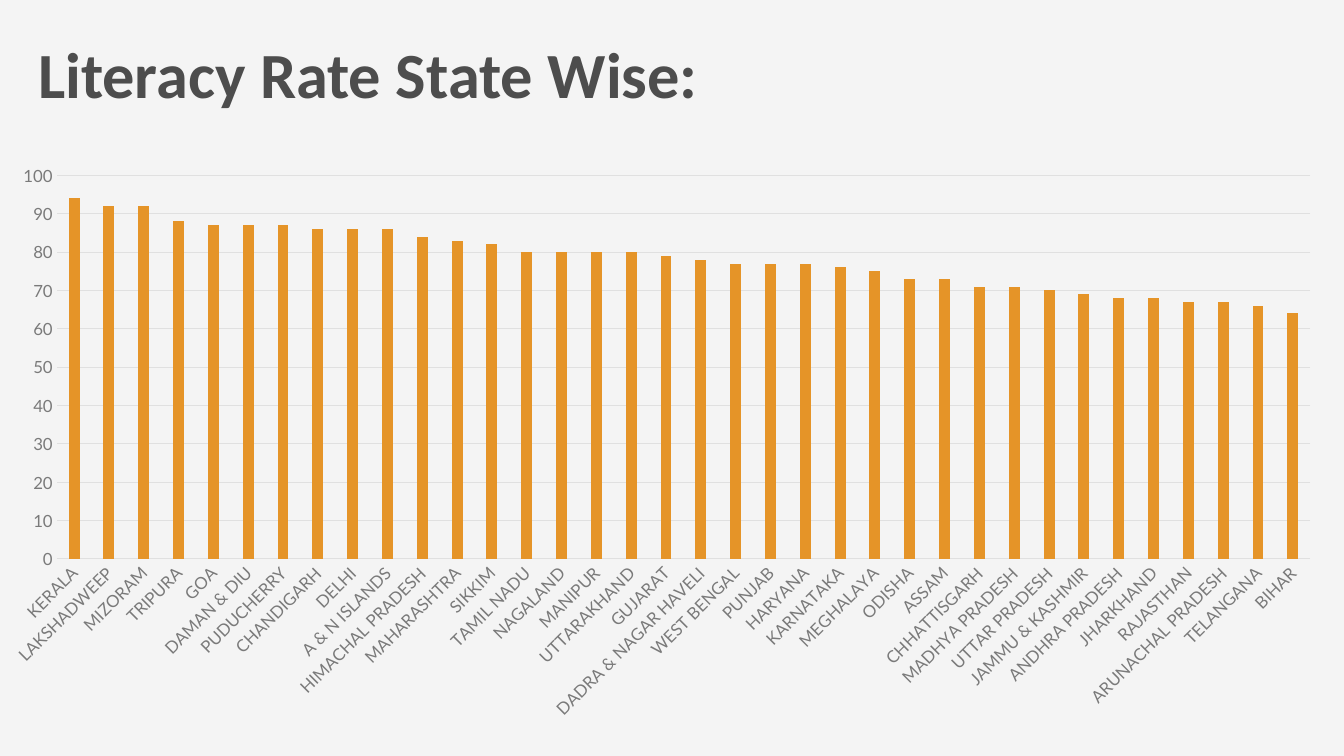
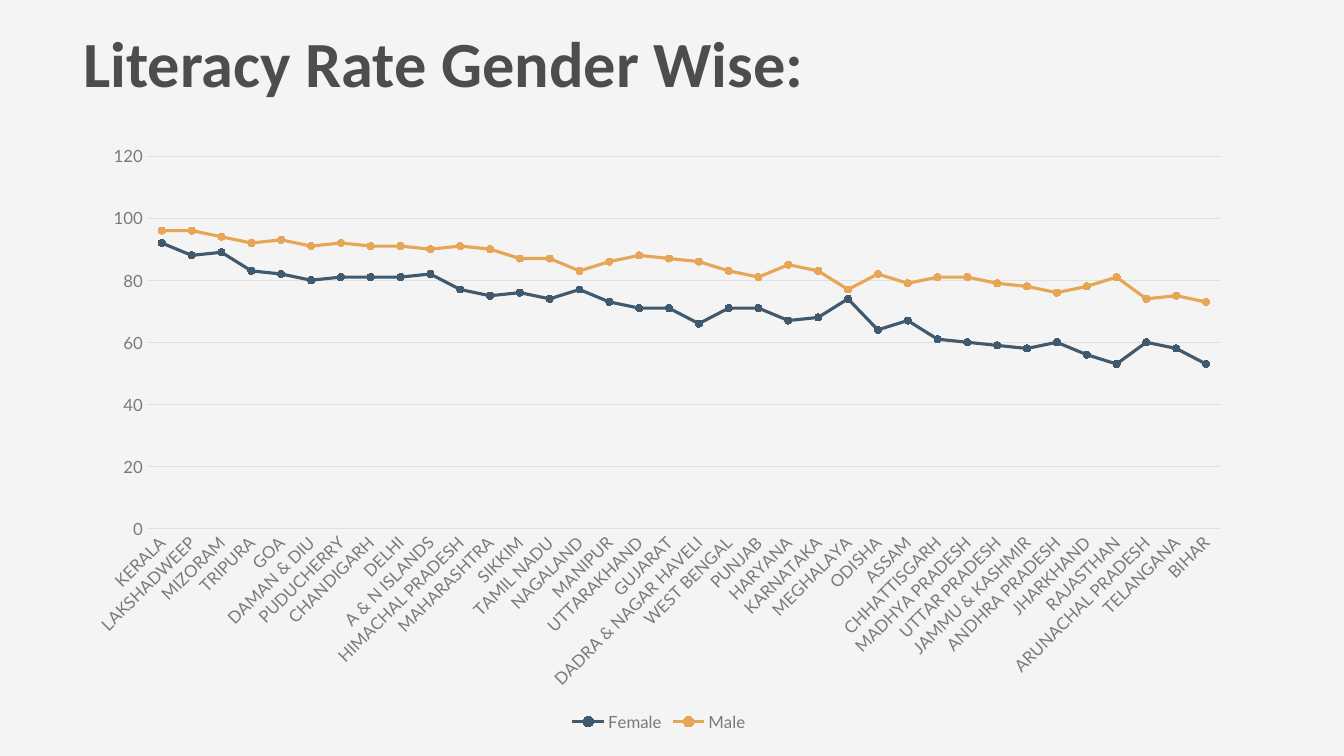
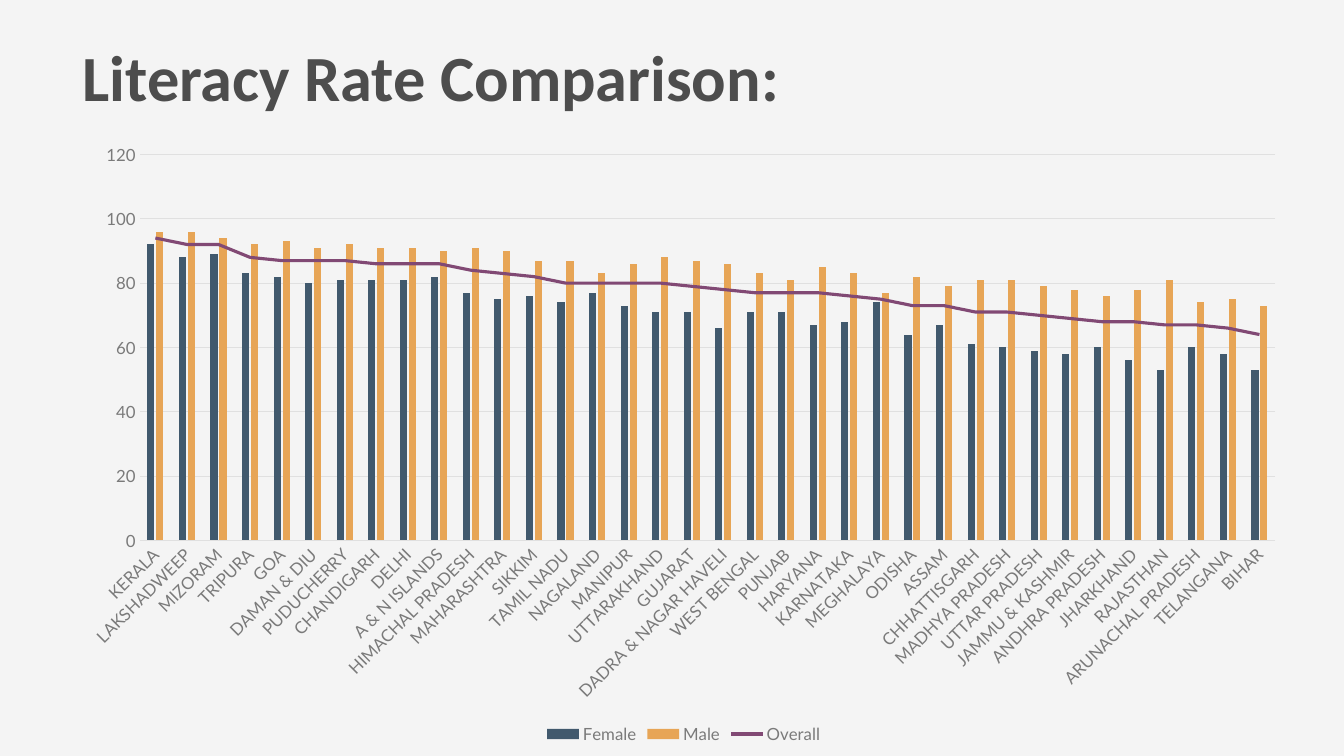
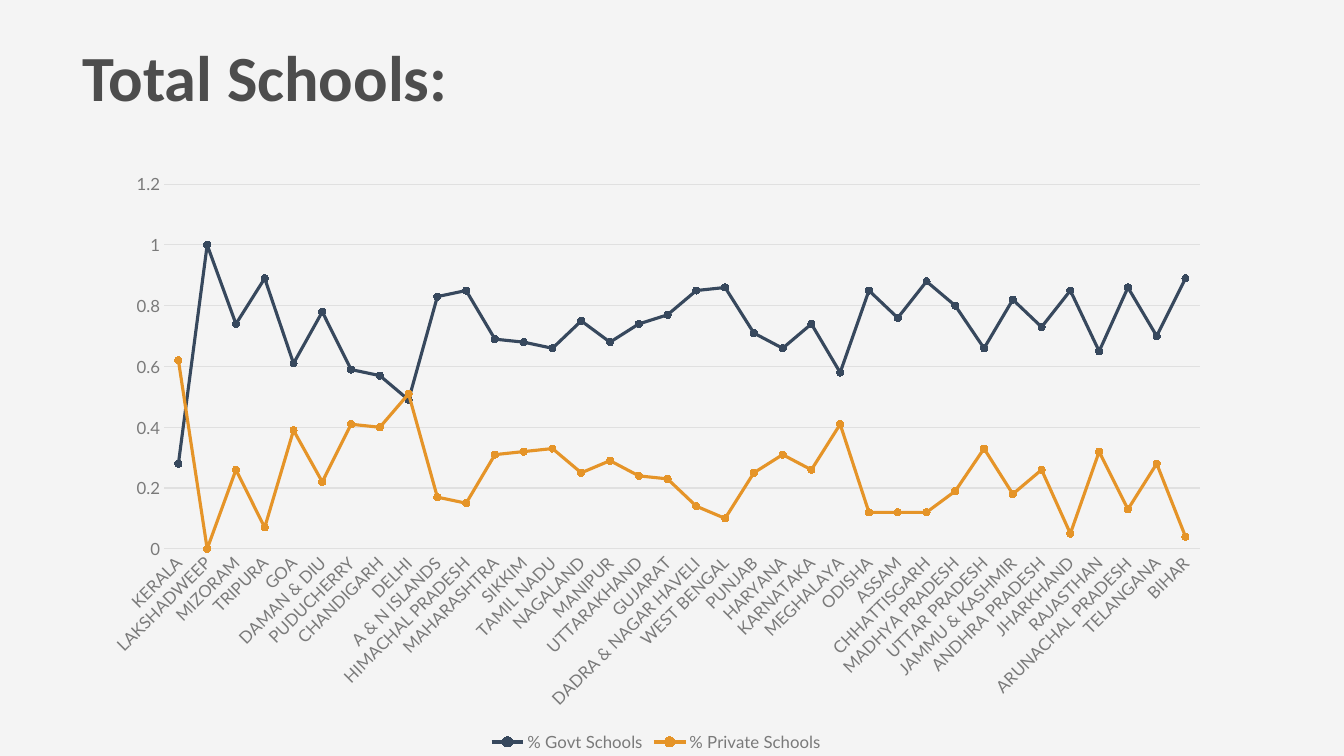
"""Build four slides of charts on literacy and schools by state."""
from dataclasses import dataclass

from lxml.etree import SubElement
from pptx import Presentation
from pptx.chart.data import CategoryChartData
from pptx.dml.color import RGBColor
from pptx.enum.chart import (
    XL_CHART_TYPE, XL_LEGEND_POSITION, XL_MARKER_STYLE, XL_TICK_MARK)
from pptx.oxml import parse_xml
from pptx.oxml.ns import nsdecls, qn
from pptx.util import Cm, Pt


@dataclass(frozen=True)
class Theme:
    """Hold the colours, fonts and sizes that the slides share."""
    back: str = "F4F4F4"
    head: str = "4D4D4D"
    label: str = "7A7A7A"
    grid: str = "E0E0E0"
    orange: str = "E59428"
    sand: str = "E7A556"
    steel: str = "41596D"
    navy: str = "37485D"
    plum: str = "814974"
    title: str = "Calibri"
    body: str = "Lato"
    big: int = 46
    small: int = 12
    thin: float = 0.75
    thick: float = 2.25
    dot: int = 5


THEME = Theme()
COLUMN = XL_CHART_TYPE.COLUMN_CLUSTERED
LINE = XL_CHART_TYPE.LINE_MARKERS

STATES = [
    "KERALA", "LAKSHADWEEP", "MIZORAM", "TRIPURA", "GOA", "DAMAN & DIU",
    "PUDUCHERRY", "CHANDIGARH", "DELHI", "A & N ISLANDS", "HIMACHAL PRADESH",
    "MAHARASHTRA", "SIKKIM", "TAMIL NADU", "NAGALAND", "MANIPUR",
    "UTTARAKHAND", "GUJARAT", "DADRA & NAGAR HAVELI", "WEST BENGAL", "PUNJAB",
    "HARYANA", "KARNATAKA", "MEGHALAYA", "ODISHA", "ASSAM", "CHHATTISGARH",
    "MADHYA PRADESH", "UTTAR PRADESH", "JAMMU & KASHMIR", "ANDHRA PRADESH",
    "JHARKHAND", "RAJASTHAN", "ARUNACHAL PRADESH", "TELANGANA", "BIHAR"]
TOTAL = [
    94, 92, 92, 88, 87, 87, 87, 86, 86, 86, 84, 83, 82, 80, 80, 80, 80, 79,
    78, 77, 77, 77, 76, 75, 73, 73, 71, 71, 70, 69, 68, 68, 67, 67, 66, 64]
WOMEN = [
    92, 88, 89, 83, 82, 80, 81, 81, 81, 82, 77, 75, 76, 74, 77, 73, 71, 71,
    66, 71, 71, 67, 68, 74, 64, 67, 61, 60, 59, 58, 60, 56, 53, 60, 58, 53]
MEN = [
    96, 96, 94, 92, 93, 91, 92, 91, 91, 90, 91, 90, 87, 87, 83, 86, 88, 87,
    86, 83, 81, 85, 83, 77, 82, 79, 81, 81, 79, 78, 76, 78, 81, 74, 75, 73]
PUBLIC = [
    0.28, 1, 0.74, 0.89, 0.61, 0.78, 0.59, 0.57, 0.49, 0.83, 0.85, 0.69,
    0.68, 0.66, 0.75, 0.68, 0.74, 0.77, 0.85, 0.86, 0.71, 0.66, 0.74, 0.58,
    0.85, 0.76, 0.88, 0.8, 0.66, 0.82, 0.73, 0.85, 0.65, 0.86, 0.7, 0.89]
PRIVATE = [
    0.62, 0, 0.26, 0.07, 0.39, 0.22, 0.41, 0.4, 0.51, 0.17, 0.15, 0.31,
    0.32, 0.33, 0.25, 0.29, 0.24, 0.23, 0.14, 0.1, 0.25, 0.31, 0.26, 0.41,
    0.12, 0.12, 0.12, 0.19, 0.33, 0.18, 0.26, 0.05, 0.32, 0.13, 0.28, 0.04]

FEMALE = ("Female", WOMEN, THEME.steel)
MALE = ("Male", MEN, THEME.sand)


def paint(fill, color):
    """Give a fill one solid colour."""
    fill.solid()
    fill.fore_color.rgb = RGBColor.from_string(color)


def stroke(line, color, width):
    """Give a line its colour and width."""
    paint(line.fill, color)
    line.width = Pt(width)


def style(font, name, size, color, bold=False):
    """Set the face, size, colour and weight of a font."""
    font.name, font.size, font.bold = name, Pt(size), bold
    font.color.rgb = RGBColor.from_string(color)


def add_title(slide, text, left, top, width):
    """Add the heading of a slide."""
    box = slide.shapes.add_textbox(Cm(left), Cm(top), Cm(width), Cm(2.24))
    box.text_frame.word_wrap = True
    run = box.text_frame.paragraphs[0].add_run()
    run.text = text
    style(run.font, THEME.title, THEME.big, THEME.head, True)


def style_axes(chart, top, step):
    """Style both axes and set the value scale."""
    for axis in (chart.category_axis, chart.value_axis):
        axis.major_tick_mark = axis.minor_tick_mark = XL_TICK_MARK.NONE
        style(axis.tick_labels.font, THEME.body, THEME.small, THEME.label)
    stroke(chart.category_axis.format.line, THEME.grid, THEME.thin)
    for body in chart.element.xpath("//c:catAx/c:txPr/a:bodyPr"):
        body.set("rot", "-2700000")
    scale = chart.value_axis
    scale.minimum_scale, scale.maximum_scale = 0, top
    scale.major_unit = step
    scale.format.line.fill.background()
    stroke(scale.major_gridlines.format.line, THEME.grid, THEME.thin)


def add_chart(slide, kind, rect, rows, top, step):
    """Add a chart by state with one series for each row."""
    data = CategoryChartData()
    data.categories = STATES
    for name, values, _ in rows:
        data.add_series(name, values)
    place = [Cm(size) for size in rect]
    chart = slide.shapes.add_chart(kind, *place, data).chart
    chart.has_title = False
    style(chart.font, THEME.body, 10, "333333")
    style_axes(chart, top, step)
    chart.has_legend = len(rows) > 1
    if chart.has_legend:
        chart.legend.position = XL_LEGEND_POSITION.BOTTOM
        chart.legend.include_in_layout = False
        style(chart.legend.font, THEME.body, THEME.small, THEME.label)
    plot = chart.plots[0]
    plot.vary_by_categories = False
    draw = color_bar if kind == COLUMN else color_line
    if kind == COLUMN:
        plot.gap_width, plot.overlap = 219, -27
    for item, (_, _, color) in zip(plot.series, rows):
        draw(item, color)
    return chart


def color_bar(item, color):
    """Colour the bars of a series."""
    paint(item.format.fill, color)


def color_line(item, color):
    """Colour the line and round markers of a series."""
    item.smooth = False
    stroke(item.format.line, color, THEME.thick)
    item.marker.style = XL_MARKER_STYLE.CIRCLE
    item.marker.size = THEME.dot
    paint(item.marker.format.fill, color)
    paint(item.marker.format.line.fill, color)


def last_as_line(chart, color):
    """Turn the last bar series into a plain line on the same axes."""
    bars = chart.element.xpath("//c:barChart")[0]
    row = bars.findall(qn("c:ser"))[-1]
    for tag in ("c:invertIfNegative", "c:spPr"):
        for part in row.findall(qn(tag)):
            row.remove(part)
    group = parse_xml(
        f'<c:lineChart {nsdecls("c")}><c:grouping val="standard"/>'
        '<c:varyColors val="0"/></c:lineChart>')
    group.append(row)
    SubElement(group, qn("c:marker")).set("val", "1")
    for axis in bars.findall(qn("c:axId")):
        SubElement(group, qn("c:axId")).set("val", axis.get("val"))
    bars.addnext(group)
    item = chart.plots[1].series[0]
    item.smooth = False
    item.marker.style = XL_MARKER_STYLE.NONE
    stroke(item.format.line, color, THEME.thick)


def fix_plot(chart, left, top, width, height):
    """Place the inner plot area by shares of the chart."""
    area = chart.element.xpath("//c:plotArea")[0]
    for old in area.findall(qn("c:layout")):
        area.remove(old)
    marks = [("layoutTarget", "inner"), ("xMode", "edge"), ("yMode", "edge"),
             ("x", left), ("y", top), ("w", width), ("h", height)]
    inner = "".join(f'<c:{tag} val="{val}"/>' for tag, val in marks)
    area.insert(0, parse_xml(
        f'<c:layout {nsdecls("c")}><c:manualLayout>{inner}'
        '</c:manualLayout></c:layout>'))


def main():
    """Build and save the slides."""
    deck = Presentation()
    deck.slide_width, deck.slide_height = Cm(33.87), Cm(19.05)
    paint(deck.slide_master.background.fill, THEME.back)
    states, gender, both, schools = [
        deck.slides.add_slide(deck.slide_layouts[6]) for _ in range(4)]

    chart = add_chart(states, COLUMN, (0.3, 2.97, 33.22, 15.44),
                      [("Series 1", TOTAL, THEME.orange)], 100, 10)
    fix_plot(chart, 0.034, 0.094, 0.951, 0.626)
    add_title(states, "Literacy Rate State Wise:", 0.71, 0.74, 22.05)

    add_chart(gender, LINE, (1.85, 3.38, 29.51, 15.16),
              [FEMALE, MALE], 120, 20)
    add_title(gender, "Literacy Rate Gender Wise:", 1.85, 0.46, 22.56)

    chart = add_chart(both, COLUMN, (1.7, 3.33, 31.06, 15.52),
                      [FEMALE, MALE, ("Overall", TOTAL, THEME.plum)], 120, 20)
    last_as_line(chart, THEME.plum)
    add_title(both, "Literacy Rate Comparison:", 1.83, 0.81, 23.37)

    add_chart(schools, LINE, (2.26, 4.09, 28.55, 14.96),
              [("% Govt Schools", PUBLIC, THEME.navy),
               ("% Private Schools", PRIVATE, THEME.orange)], 1.2, 0.2)
    add_title(schools, "Total Schools:", 1.83, 0.81, 18.29)
    deck.save("out.pptx")


if __name__ == "__main__":
    main()
